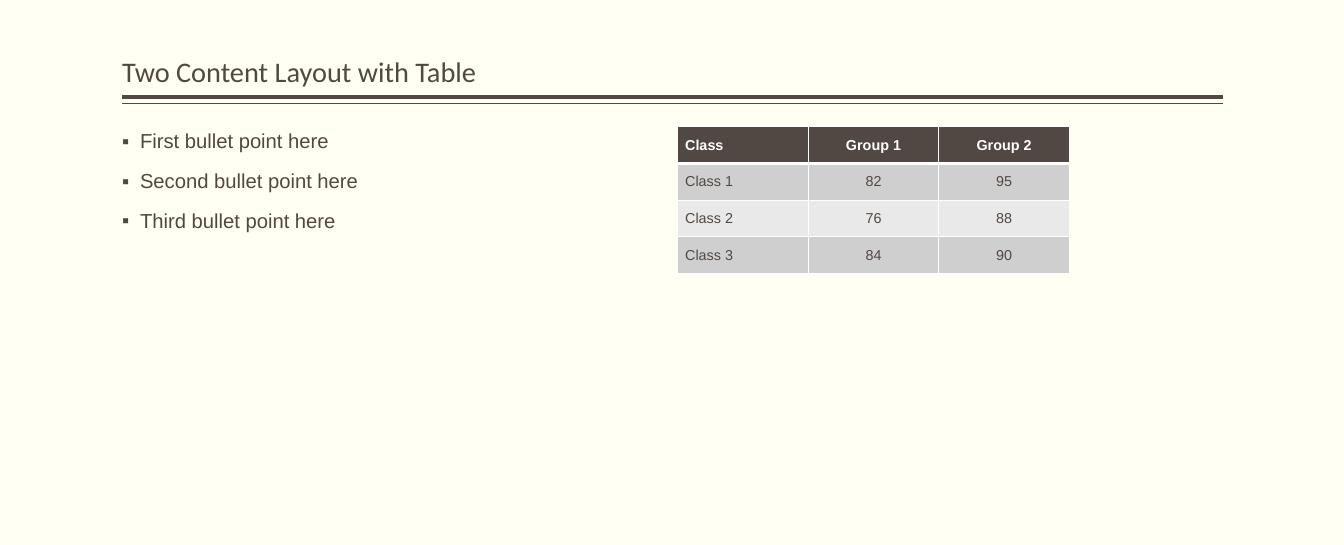
"""Build a slide with a title, a bullet list and a table of class results."""
import pptx
import pptx.util
import pptx.dml.color
import pptx.enum.shapes
import pptx.enum.text
import pptx.oxml
import pptx.oxml.ns
from lxml import etree

Inches = pptx.util.Inches
Pt = pptx.util.Pt
Align = pptx.enum.text.PP_ALIGN
Anchor = pptx.enum.text.MSO_ANCHOR

BROWN = pptx.dml.color.RGBColor(0x51, 0x48, 0x43)
IVORY = pptx.dml.color.RGBColor(0xFF, 0xFF, 0xF3)
WHITE = pptx.dml.color.RGBColor(0xFF, 0xFF, 0xFF)
DARK_BAND = pptx.dml.color.RGBColor(0xD0, 0xCF, 0xCF)
LIGHT_BAND = pptx.dml.color.RGBColor(0xE9, 0xE9, 0xE9)

LEFT, RIGHT = Inches(1.3), Inches(13.01)
CONTENT_TOP = Inches(1.35)
COLUMN, ROW = Inches(1.39), Inches(0.39)
BULLETS = ["First bullet point here", "Second bullet point here", "Third bullet point here"]
RESULTS = [
    ["Class", "Group 1", "Group 2"],
    ["Class 1", "82", "95"],
    ["Class 2", "76", "88"],
    ["Class 3", "84", "90"],
]


def write(para, text, size, font="Arial", color=BROWN, bold=False, align=Align.LEFT,
          spacing=1.0, before=0):
    """Put one formatted span of text into a paragraph."""
    para.alignment = align
    para.line_spacing = spacing
    para.space_before = Pt(before)
    span = para.add_run()
    span.text = text
    span.font.size = Pt(size)
    span.font.name = font
    span.font.bold = bold
    span.font.color.rgb = color


def set_frame(frame, anchor):
    """Give a text frame its wrapping, margins and anchor."""
    frame.word_wrap = True
    frame.auto_size = pptx.enum.text.MSO_AUTO_SIZE.NONE
    frame.vertical_anchor = anchor
    frame.margin_left = frame.margin_right = 0
    frame.margin_top = frame.margin_bottom = Inches(0.05)


deck = pptx.Presentation()
deck.slide_width, deck.slide_height = Inches(14.3), Inches(5.8)
page = deck.slides.add_slide(deck.slide_layouts[5])
page.background.fill.solid()
page.background.fill.fore_color.rgb = IVORY

for height, weight in [(1.03, 3), (1.1, 1)]:
    rule = page.shapes.add_connector(
        pptx.enum.shapes.MSO_CONNECTOR.STRAIGHT, LEFT, Inches(height), RIGHT, Inches(height))
    rule.line.color.rgb = BROWN
    rule.line.width = Pt(weight)
    etree.SubElement(rule._element.spPr, pptx.oxml.ns.qn("a:effectLst"))

title = page.shapes.title
title.left, title.top = LEFT, Inches(0.06)
title.width, title.height = RIGHT - LEFT, Inches(0.93)
set_frame(title.text_frame, Anchor.BOTTOM)
write(title.text_frame.paragraphs[0], "Two Content Layout with Table", 21.7,
      font="Calibri", spacing=0.9)

box = page.shapes.add_textbox(LEFT, CONTENT_TOP, Inches(5.76), Inches(3.87))
set_frame(box.text_frame, Anchor.TOP)
for index, bullet in enumerate(BULLETS):
    para = box.text_frame.add_paragraph() if index else box.text_frame.paragraphs[0]
    write(para, bullet, 15.5, spacing=0.9, before=13.9)
    properties = para._p.get_or_add_pPr()
    properties.set("marL", str(Inches(0.19)))
    properties.set("indent", str(-Inches(0.19)))
    etree.SubElement(properties, pptx.oxml.ns.qn("a:buFont"), typeface="Arial")
    etree.SubElement(properties, pptx.oxml.ns.qn("a:buChar"), char="▪")

rows, columns = len(RESULTS), len(RESULTS[0])
table = page.shapes.add_table(
    rows, columns, Inches(7.21), CONTENT_TOP, columns * COLUMN, rows * ROW).table
for r, values in enumerate(RESULTS):
    header = r == 0
    for c, value in enumerate(values):
        cell = table.cell(r, c)
        cell.vertical_anchor = Anchor.MIDDLE
        cell.margin_left = cell.margin_right = Inches(0.08)
        cell.margin_top = cell.margin_bottom = Inches(0.04)
        thick_side = {0: "lnB", 1: "lnT"}.get(r)
        for side in ("lnL", "lnR", "lnT", "lnB"):
            width = Pt(3 if side == thick_side else 1)
            cell._tc.get_or_add_tcPr().append(pptx.oxml.parse_xml(
                f'<a:{side} {pptx.oxml.ns.nsdecls("a")} w="{width}">'
                f'<a:solidFill><a:srgbClr val="{WHITE}"/></a:solidFill></a:{side}>'))
        cell.fill.solid()
        cell.fill.fore_color.rgb = BROWN if header else DARK_BAND if r % 2 else LIGHT_BAND
        write(cell.text_frame.paragraphs[0], value, 11, color=WHITE if header else BROWN,
              bold=header, align=Align.CENTER if c else Align.LEFT)

deck.save("out.pptx")
